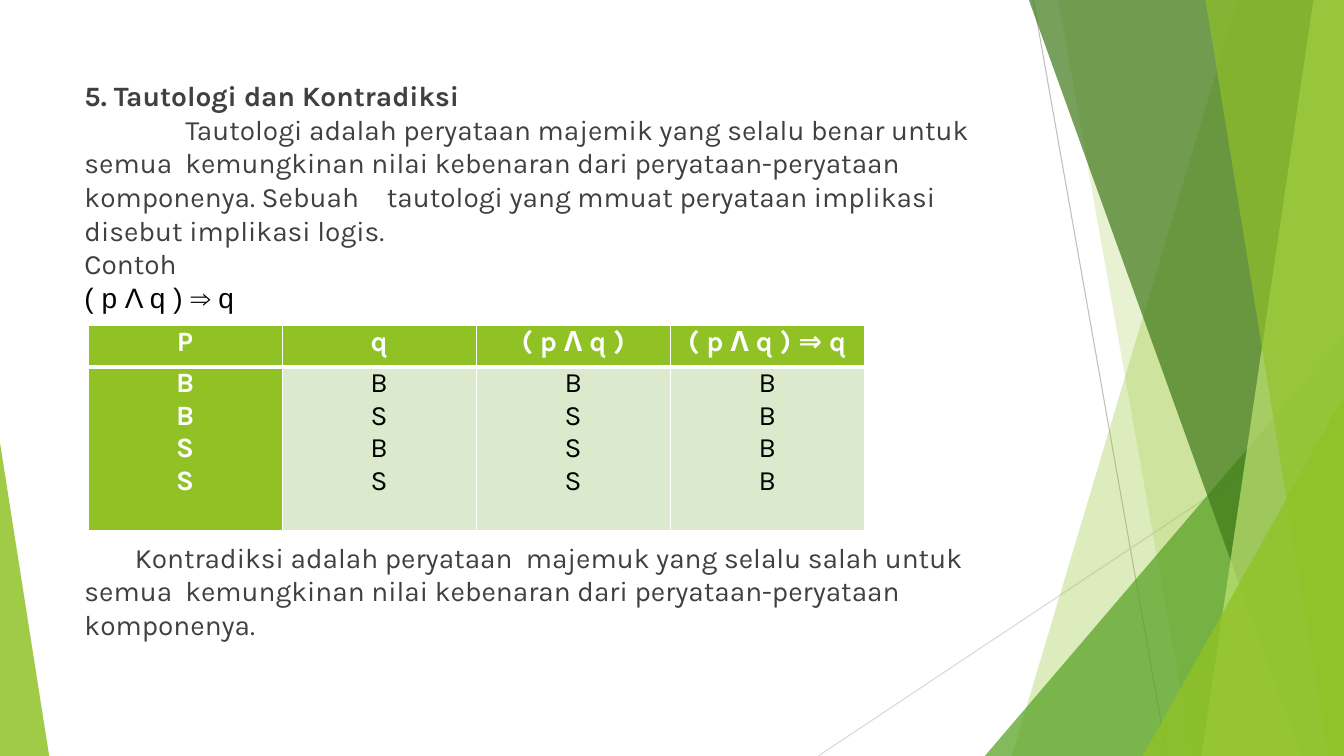
from dataclasses import dataclass

from lxml import etree
from pptx import Presentation
from pptx.dml.color import RGBColor
from pptx.enum import shapes, text
from pptx.oxml import ns
from pptx.util import Cm, Pt

# Content: (text, style, first-line indent in cm)
TAUTOLOGY = [
    ("5. Tautologi dan Kontradiksi", "heading", 0),
    ("Tautologi adalah peryataan majemik yang selalu benar untuk semua \t"
     "kemungkinan nilai kebenaran dari peryataan-peryataan komponenya. Sebuah \t"
     "tautologi yang mmuat peryataan implikasi disebut implikasi logis.", "body", 2.54),
    ("Contoh", "body", 0),
    ("( p Λ q ) ⇒ q", "formula", 0),
]
CONTRADICTION = [
    ("Kontradiksi adalah peryataan  majemuk yang selalu salah untuk semua \t"
     "kemungkinan nilai kebenaran dari peryataan-peryataan komponenya.", "body", 1.27),
]
TRUTH_TABLE = {"P": "BBSS", "q": "BSBS", "( p Λ q )": "BSSS", "( p Λ q ) ⇒ q": "BBBB"}

# Decoration, back to front, in cm
WIDTH, HEIGHT = 33.87, 19.05
RAYS = [((26.04, 0), (29.41, HEIGHT), "BFBFBF"),
        ((WIDTH, 10.24), (20.62, HEIGHT), "D9D9D9")]
# band: x at top, x at bottom; peak: left, top, width, apex position
FACETS = [
    ("band", (31.19, 25.5), "90C226", 30),
    ("band", (26.67, 30.05), "90C226", 20),
    ("peak", (24.82, 8.46, 9.05, 1), "54A021", 72),
    ("band", (25.93, 32.79), "3F7819", 70),
    ("band", (33.1, 30.28), "C0E474", 70),
    ("band", (30.38, 33.48), "90C226", 65),
    ("peak", (28.8, 9.98, 5.07, 1), "90C226", 80),
    ("peak", (0, 11.15, 1.24, 0), "90C226", 85),
]


@dataclass(frozen=True)
class Theme:
    font: str = "Karla"
    formula_font: str = "Arial"
    size: int = 20
    ink: str = "404040"
    black: str = "000000"
    white: str = "FFFFFF"
    green: str = "90C226"
    pale: str = "DBE9CD"


THEME = Theme()
STYLES = {  # font, colour, bold
    "heading": (THEME.font, THEME.ink, True),
    "body": (THEME.font, THEME.ink, False),
    "formula": (THEME.formula_font, THEME.black, False),
    "label": (THEME.font, THEME.white, True),
    "value": (THEME.font, THEME.black, False),
}
TAB_STOPS = (2.54, 7.62)


def add_child(parent, tag, **attributes):
    return etree.SubElement(parent, ns.qn(tag), {k: str(v) for k, v in attributes.items()})


def add_run(paragraph, words, style):
    run = paragraph.add_run()
    run.text = words
    run.font.size = Pt(THEME.size)
    run.font.name, colour, run.font.bold = STYLES[style]
    run.font.color.rgb = RGBColor.from_string(colour)


def paragraphs(frame, count):
    return [frame.paragraphs[0]] + [frame.add_paragraph() for _ in range(count - 1)]


def add_ray(slide, start, end, colour):
    ray = slide.shapes.add_connector(shapes.MSO_CONNECTOR.STRAIGHT,
                                     *(Cm(v) for v in start + end))
    ray.line.color.rgb = RGBColor.from_string(colour)
    ray.line.width = Pt(0.75)
    add_child(ray._element.spPr, "a:effectLst")


def add_facet(slide, kind, geometry, colour, opacity):
    if kind == "band":
        top_x, bottom_x = geometry
        outline = slide.shapes.build_freeform(Cm(top_x), 0)
        outline.add_line_segments([(Cm(x), Cm(y)) for x, y in (
            (WIDTH, 0), (WIDTH, HEIGHT), (bottom_x, HEIGHT))], close=True)
        facet = outline.convert_to_shape()
    else:
        left, top, width, apex = geometry
        facet = slide.shapes.add_shape(shapes.MSO_SHAPE.ISOSCELES_TRIANGLE, Cm(left), Cm(top),
                                       Cm(width), Cm(HEIGHT - top))
        facet.adjustments[0] = apex
    facet.shadow.inherit = False
    facet.line.fill.background()
    facet.fill.solid()
    facet.fill.fore_color.rgb = RGBColor.from_string(colour)
    fill_colour = facet._element.spPr.find(".//" + ns.qn("a:srgbClr"))
    add_child(fill_colour, "a:alpha", val=opacity * 1000)


def add_passage(slide, passage, top, height):
    frame = slide.shapes.add_textbox(Cm(2.13), Cm(top), Cm(23.37), Cm(height)).text_frame
    frame.word_wrap = True
    frame.margin_left = frame.margin_right = frame.margin_top = frame.margin_bottom = 0
    for paragraph, (words, style, indent) in zip(paragraphs(frame, len(passage)), passage):
        properties = paragraph._p.get_or_add_pPr()
        properties.set("marL", "0")
        properties.set("indent", str(Cm(indent)))
        tabs = add_child(properties, "a:tabLst")
        for stop in TAB_STOPS:
            add_child(tabs, "a:tab", pos=Cm(stop), algn="l")
        add_run(paragraph, words, style)


def fill_cell(cell, entries, style, fill, bottom_border):
    cell.margin_left = cell.margin_right = Cm(0.18)
    cell.margin_top = cell.margin_bottom = 0
    for paragraph, entry in zip(paragraphs(cell.text_frame, len(entries)), entries):
        paragraph.alignment = text.PP_ALIGN.CENTER
        add_run(paragraph, entry, style)
    # Borders precede the fill in the cell properties
    properties = cell._tc.get_or_add_tcPr()
    for side, width in (("L", 1), ("R", 1), ("T", 1), ("B", bottom_border)):
        border = add_child(properties, "a:ln" + side, w=Pt(width))
        add_child(add_child(border, "a:solidFill"), "a:srgbClr", val=THEME.white)
    cell.fill.solid()
    cell.fill.fore_color.rgb = RGBColor.from_string(fill)


def add_truth_table(slide):
    row_heights = (1.04, 4.14)
    column_width = 4.89
    table = slide.shapes.add_table(2, len(TRUTH_TABLE), Cm(2.22), Cm(8.2),
                                   Cm(column_width * len(TRUTH_TABLE)),
                                   Cm(sum(row_heights))).table
    for row, height in zip(table.rows, row_heights):
        row.height = Cm(height)
    for column, (heading, values) in enumerate(TRUTH_TABLE.items()):
        table.columns[column].width = Cm(column_width)
        style, fill = ("value", THEME.pale) if column else ("label", THEME.green)
        fill_cell(table.cell(0, column), [heading], "label", THEME.green, 3)
        fill_cell(table.cell(1, column), values, style, fill, 1)


def main():
    deck = Presentation()
    deck.slide_width, deck.slide_height = Cm(WIDTH), Cm(HEIGHT)
    slide = deck.slides.add_slide(deck.slide_layouts[6])
    for ray in RAYS:
        add_ray(slide, *ray)
    for facet in FACETS:
        add_facet(slide, *facet)
    add_passage(slide, TAUTOLOGY, 1.98, 6)
    add_truth_table(slide)
    add_passage(slide, CONTRADICTION, 13.61, 2.6)
    deck.save("out.pptx")


if __name__ == "__main__":
    main()
